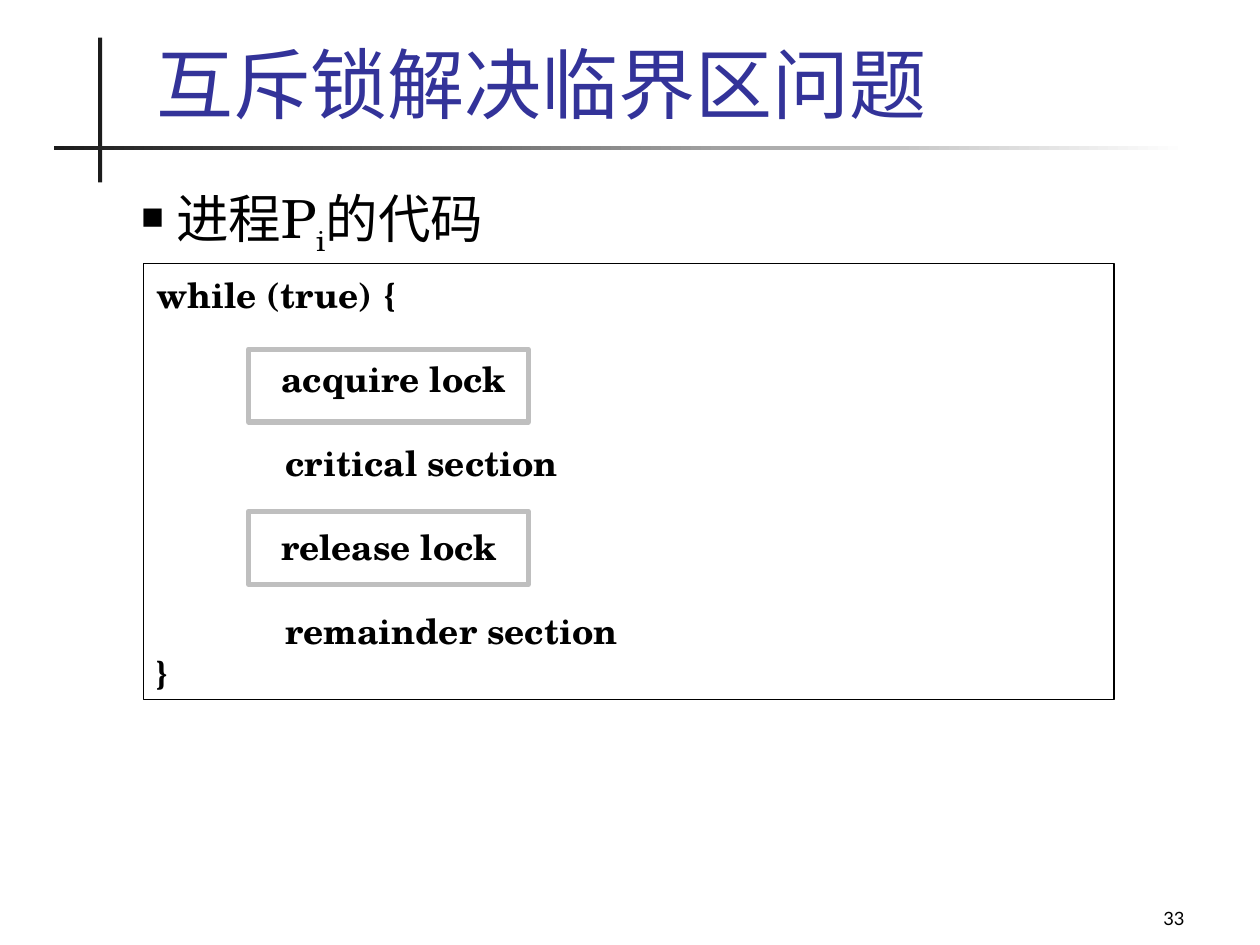
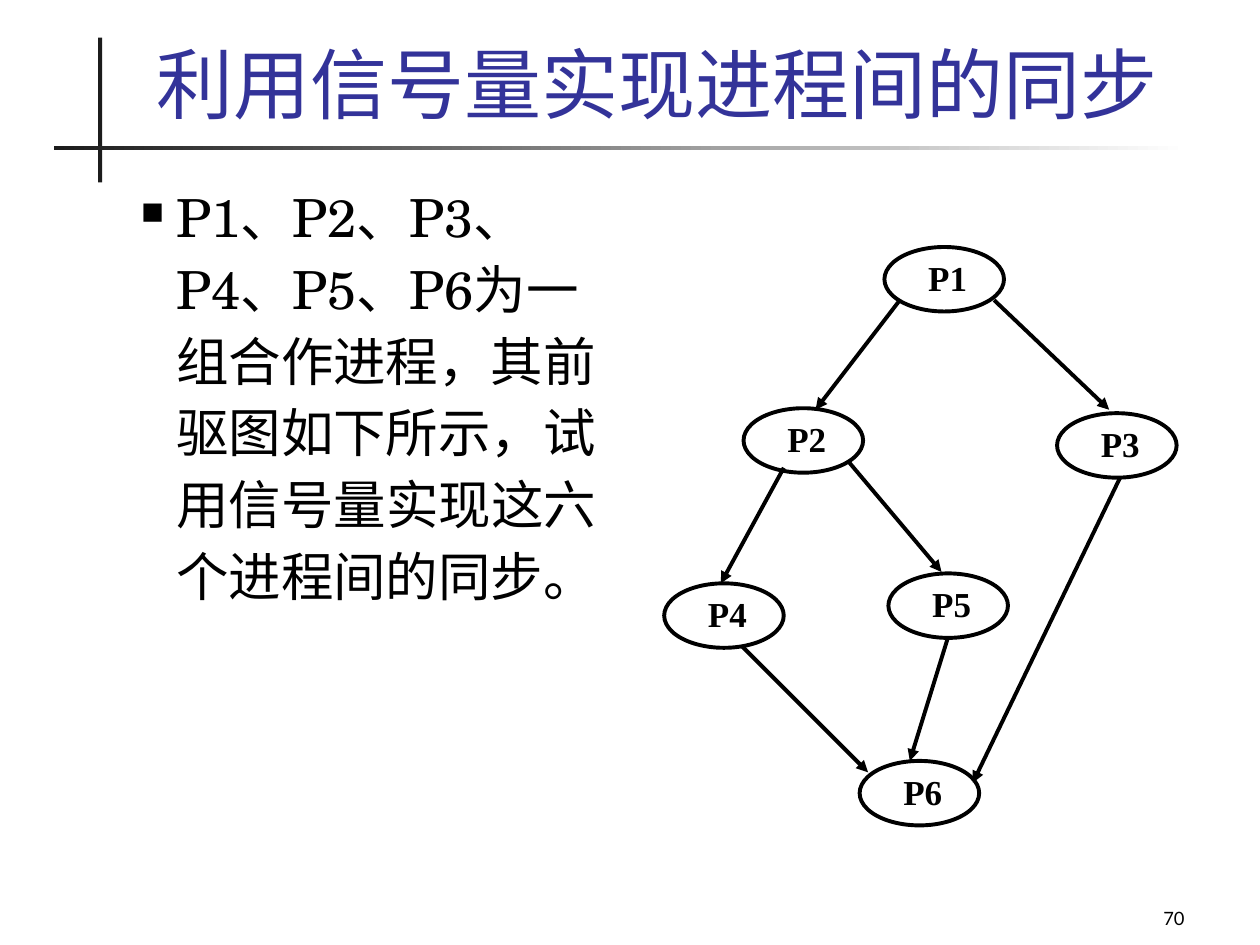
from collections import namedtuple

from pptx import Presentation
from pptx.dml.color import RGBColor
from pptx.enum.shapes import MSO_CONNECTOR, MSO_SHAPE
from pptx.enum.text import MSO_ANCHOR, PP_ALIGN
from pptx.oxml.ns import qn
from pptx.oxml.xmlchemy import OxmlElement
from pptx.util import Cm, Pt

RECTANGLE, OVAL = MSO_SHAPE.RECTANGLE, MSO_SHAPE.OVAL
STRAIGHT = MSO_CONNECTOR.STRAIGHT
TOP, MIDDLE, BOTTOM = MSO_ANCHOR.TOP, MSO_ANCHOR.MIDDLE, MSO_ANCHOR.BOTTOM
LEFT, RIGHT, JUSTIFY = PP_ALIGN.LEFT, PP_ALIGN.RIGHT, PP_ALIGN.JUSTIFY

BLACK = RGBColor(0x00, 0x00, 0x00)
WHITE = RGBColor(0xFF, 0xFF, 0xFF)
CHARCOAL = RGBColor(0x1C, 0x1C, 0x1C)
GRAY = RGBColor(0xBF, 0xBF, 0xBF)
TITLE_BLUE = RGBColor(0x33, 0x33, 0x99)

SERIF = "TeX Gyre Schola"
TIMES = "Times New Roman"
SANS = "Lato"

Box = namedtuple("Box", "left top width height")
VERTICAL_BAR = Box(1.98, 0.76, 0.08, 2.92)
TITLE_RULE = Box(1.09, 2.95, 22.86, 0.08)
TITLE = Box(2.9, 0.64, 21.82, 2.08)
WIDE_BODY = Box(2.59, 3.43, 21.59, 13.59)
HALF_BODY = Box(2.59, 3.43, 10.13, 13.59)
PAGE_NUMBER = Box(18.85, 17.58, 5.28, 1.27)
CODE = Box(2.9, 5.31, 19.56, 8.79)
GRAPH = Box(13.39, 4.98, 10.34, 11.66)

CODE_LINES = [
    ("while (true) {", 0, 0),
    ("acquire lock", 2.52, 24),
    ("critical section", 2.6, 24),
    ("release lock", 2.52, 24),
    ("remainder section", 2.6, 24),
    ("}", 0, 0),
]
LOCK_TOPS = (1.73, 5.0)

NODE_WIDTH, NODE_HEIGHT = 2.41, 1.3
NODES = {
    "P1": (4.44, 0),
    "P2": (1.6, 3.25),
    "P3": (7.92, 3.35),
    "P4": (0, 6.78),
    "P5": (4.52, 6.58),
    "P6": (3.94, 10.36),
}
ARROWS = [
    (4.75, 1.07, 3.05, 3.28),
    (6.65, 1.07, 8.97, 3.28),
    (2.41, 4.45, 1.14, 6.78),
    (3.71, 4.32, 5.59, 6.55),
    (1.57, 8.05, 4.11, 10.59),
    (5.72, 7.87, 4.95, 10.36),
    (9.19, 4.65, 6.22, 10.8),
]


def within(box, left, top, width, height):
    """Return a box placed relative to the corner of another."""
    return Box(box.left + left, box.top + top, width, height)


def style(paragraph, size, name, color=BLACK, bold=False, align=LEFT):
    """Set the font and alignment of a paragraph."""
    paragraph.alignment = align
    font = paragraph.font
    font.size, font.name, font.bold = Pt(size), name, bold
    font.color.rgb = color


def set_indent(paragraph, margin, first=0):
    """Set the left margin and first-line indent in centimetres."""
    properties = paragraph._p.get_or_add_pPr()
    properties.set("marL", str(Cm(margin)))
    properties.set("indent", str(Cm(first)))


def add_bullet(paragraph):
    """Give a paragraph a small black square bullet."""
    set_indent(paragraph, 0.71, -0.71)
    properties = paragraph._p.get_or_add_pPr()
    color = OxmlElement("a:buClr")
    value = OxmlElement("a:srgbClr")
    value.set("val", str(BLACK))
    color.append(value)
    size = OxmlElement("a:buSzPct")
    size.set("val", "60000")
    mark = OxmlElement("a:buChar")
    mark.set("char", "■")
    properties.extend([color, size, mark])


def add_frame(slide, box, kind=RECTANGLE, fill=None, line=None, weight=0.75):
    """Add a shape with the given fill and outline, or none."""
    frame = slide.shapes.add_shape(kind, *map(Cm, box))
    frame.shadow.inherit = False
    if fill is None:
        frame.fill.background()
    else:
        frame.fill.solid()
        frame.fill.fore_color.rgb = fill
    if line is None:
        frame.line.fill.background()
    else:
        frame.line.color.rgb = line
        frame.line.width = Pt(weight)
    return frame


def add_text_area(slide, box, anchor=TOP):
    """Add a wrapping text box and return its text frame."""
    area = slide.shapes.add_textbox(*map(Cm, box)).text_frame
    area.word_wrap = True
    area.vertical_anchor = anchor
    return area


def add_line_of_text(slide, box, text, size, name, color=BLACK, align=LEFT):
    """Add one line of text resting on the bottom of its box."""
    paragraph = add_text_area(slide, box, BOTTOM).paragraphs[0]
    paragraph.text = text
    style(paragraph, size, name, color, align=align)


def add_base(deck, title, number):
    """Add a slide with its crossed rules, title and page number."""
    slide = deck.slides.add_slide(deck.slide_layouts[6])
    add_frame(slide, VERTICAL_BAR, fill=CHARCOAL)
    rule = add_frame(slide, TITLE_RULE)
    rule.fill.gradient()
    rule.fill.gradient_angle = 0
    for stop, color in zip(rule.fill.gradient_stops, (CHARCOAL, WHITE)):
        stop.color.rgb = color
    add_line_of_text(slide, TITLE, title, 44, SERIF, TITLE_BLUE)
    add_line_of_text(slide, PAGE_NUMBER, number, 10.5, SANS, align=RIGHT)
    return slide


def add_body(slide, box, pieces):
    """Add a bulleted paragraph made of text, font and baseline pieces."""
    paragraph = add_text_area(slide, box).paragraphs[0]
    paragraph.line_spacing = 1.14
    add_bullet(paragraph)
    style(paragraph, 30, SERIF)
    for text, name, baseline in pieces:
        run = paragraph.add_run()
        run.text = text
        if name != SERIF:
            run.font.name = name
        if baseline:
            run._r.get_or_add_rPr().set("baseline", str(baseline))


def add_code(slide, box):
    """Add the framed loop with its two lock steps outlined."""
    area = add_frame(slide, box, line=BLACK).text_frame
    area.word_wrap = True
    area.vertical_anchor = MIDDLE
    area.margin_top, area.margin_bottom = Cm(0.3), Cm(0.2)
    for index, (text, margin, gap) in enumerate(CODE_LINES):
        paragraph = area.add_paragraph() if index else area.paragraphs[0]
        paragraph.text = text
        paragraph.space_before = Pt(gap)
        set_indent(paragraph, margin)
        style(paragraph, 20, SERIF, bold=True)
    for top in LOCK_TOPS:
        add_frame(slide, within(box, 2.11, top, 5.64, 1.47), line=GRAY, weight=3)


def add_node(slide, box, label):
    """Add one process as a labelled ellipse."""
    area = add_frame(slide, box, OVAL, WHITE, BLACK, 2.25).text_frame
    area.word_wrap = True
    area.vertical_anchor = TOP
    area.margin_left = area.margin_right = 0
    area.margin_top = area.margin_bottom = 0
    paragraph = area.paragraphs[0]
    paragraph.text = label
    set_indent(paragraph, 0.53)
    style(paragraph, 20, TIMES, bold=True, align=JUSTIFY)


def add_arrow(slide, box, x1, y1, x2, y2):
    """Add an arrow between two points measured from the box corner."""
    ends = box.left + x1, box.top + y1, box.left + x2, box.top + y2
    arrow = slide.shapes.add_connector(STRAIGHT, *map(Cm, ends))
    arrow.line.color.rgb = BLACK
    arrow.line.width = Pt(2.25)
    head = OxmlElement("a:tailEnd")
    head.set("type", "triangle")
    properties = arrow._element.spPr
    properties.find(qn("a:ln")).append(head)
    properties.append(OxmlElement("a:effectLst"))


def add_graph(slide, box):
    """Add the precedence graph of the six processes."""
    for label, (left, top) in NODES.items():
        add_node(slide, within(box, left, top, NODE_WIDTH, NODE_HEIGHT), label)
    for ends in ARROWS:
        add_arrow(slide, box, *ends)


def build_lock_slide(deck):
    """Build the slide on the mutex lock."""
    slide = add_base(deck, "互斥锁解决临界区问题", "33")
    pieces = [("进程P", SERIF, 0), ("i", SERIF, -25000), ("的代码", SERIF, 0)]
    add_body(slide, WIDE_BODY, pieces)
    add_code(slide, CODE)


def build_semaphore_slide(deck):
    """Build the slide on synchronising six processes."""
    slide = add_base(deck, "利用信号量实现进程间的同步", "70")
    pieces = []
    for label, separator in zip(NODES, "、、、、、为"):
        pieces += [(label, SERIF, 0), (separator, TIMES, 0)]
    pieces.append(("一组合作进程，其前驱图如下所示，试用信号量", SERIF, 0))
    pieces.append(("实现这六个进程间的同步。", TIMES, 0))
    add_body(slide, HALF_BODY, pieces)
    add_graph(slide, GRAPH)


def main():
    """Build and save the deck."""
    deck = Presentation()
    deck.slide_width, deck.slide_height = Cm(25.4), Cm(19.05)
    build_lock_slide(deck)
    build_semaphore_slide(deck)
    deck.save("out.pptx")


if __name__ == "__main__":
    main()
